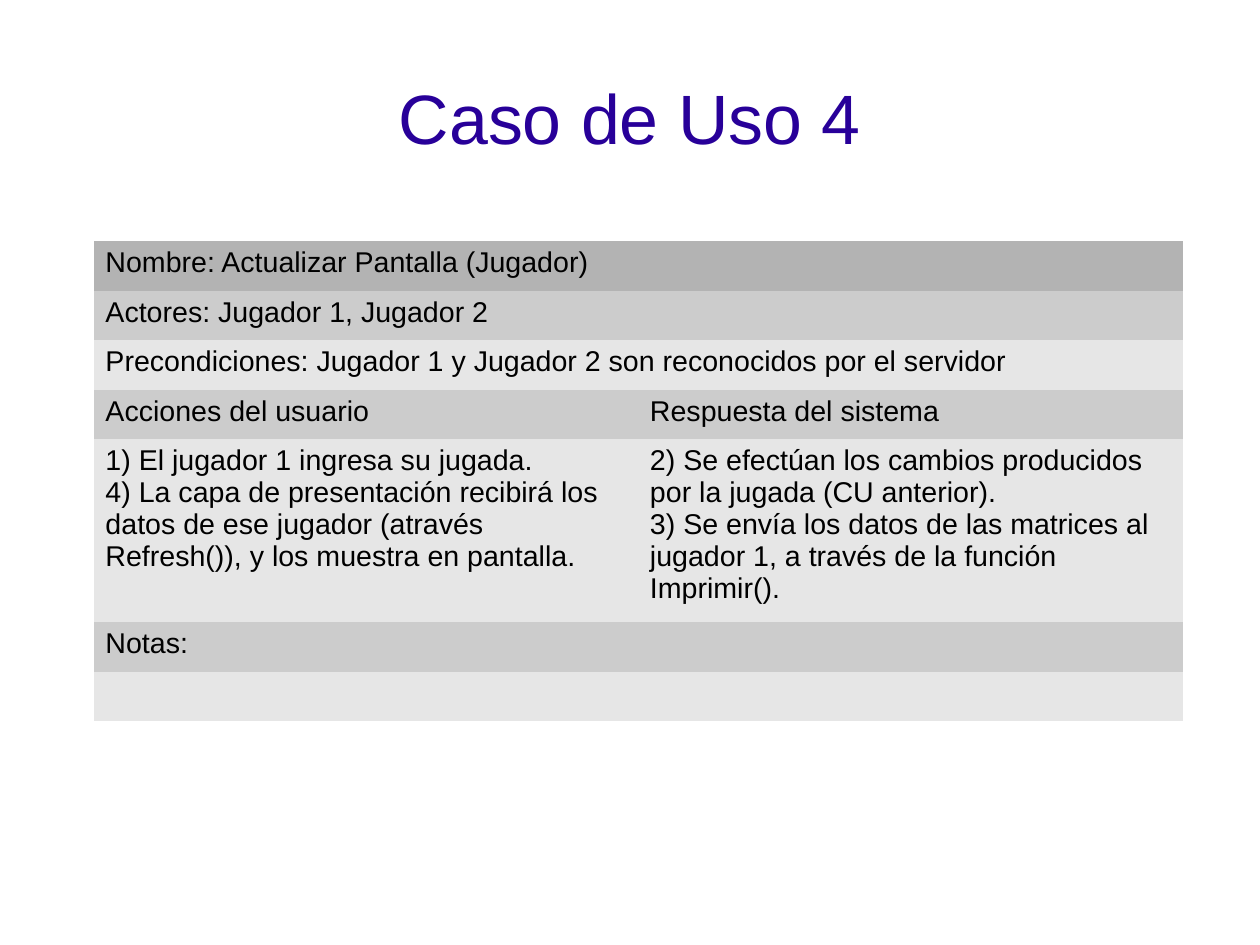
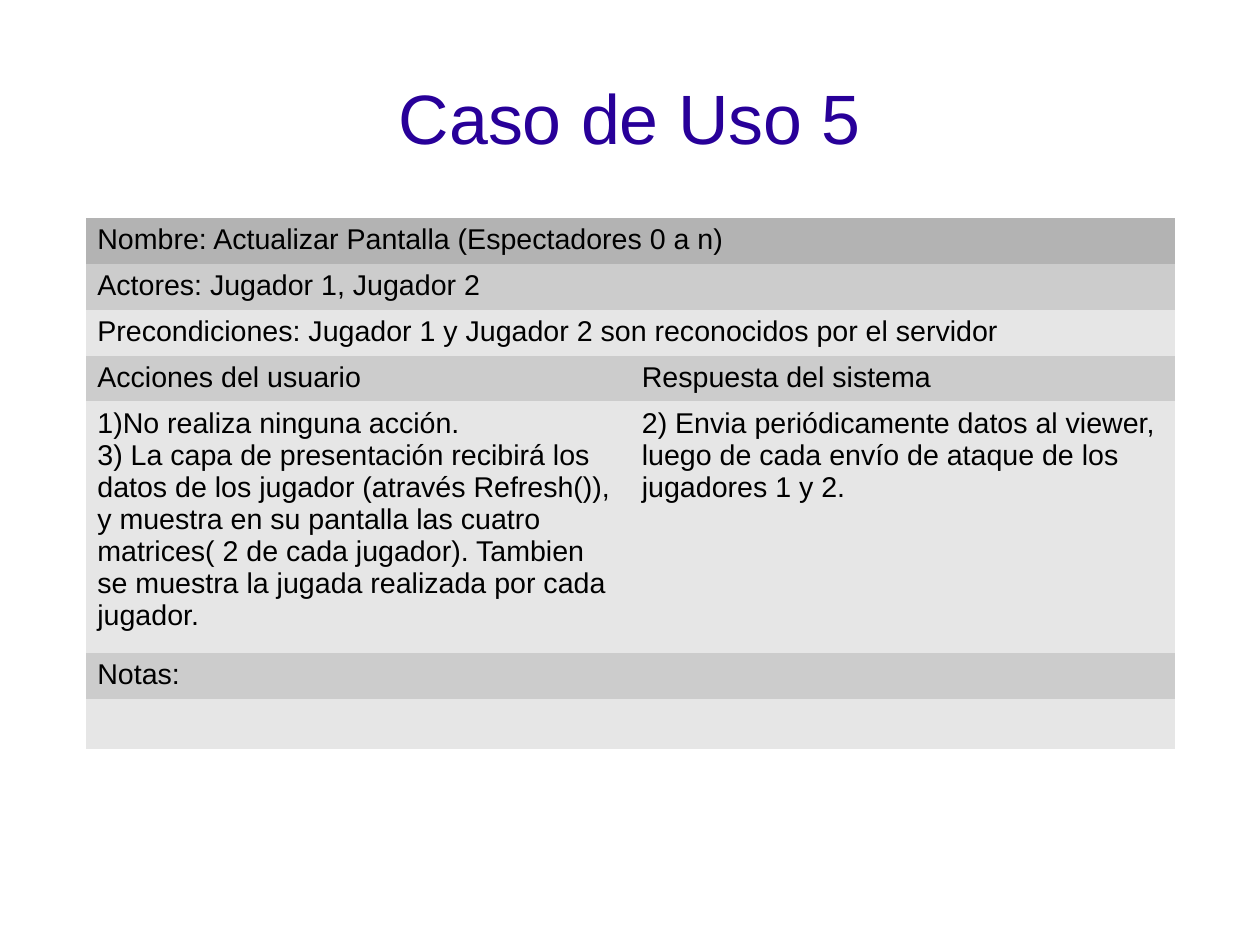
import pptx
import pptx.dml.color
import pptx.enum.text
import pptx.oxml.ns
import pptx.util
from dataclasses import dataclass

Cm = pptx.util.Cm
NO_GRID_STYLE = "{2D5ABB26-0587-4C30-8999-92F81FD0307C}"


@dataclass(frozen=True)
class Theme:
    font: str = "Arial"
    title_size: int = 44
    body_size: int = 18
    title: str = "280099"
    text: str = "000000"
    header: str = "B3B3B3"
    band_dark: str = "CCCCCC"
    band_light: str = "E6E6E6"


class Deck:
    def __init__(self, theme):
        self.theme = theme
        self.prs = pptx.Presentation()
        self.prs.slide_width, self.prs.slide_height = Cm(28), Cm(21)
        self.s = None

    def add_slide(self):
        self.s = self.prs.slides.add_slide(self.prs.slide_layouts[6])

    def format_runs(self, tf, size, color):
        for p in tf.paragraphs:
            for r in p.runs:
                r.font.name = self.theme.font
                r.font.size = pptx.util.Pt(size)
                r.font.color.rgb = pptx.dml.color.RGBColor.from_string(color)

    def title(self, text):
        sp = self.s.shapes.add_textbox(Cm(1.4), Cm(0.84), Cm(25.2), Cm(3.5))
        tf = sp.text_frame
        tf.word_wrap = True
        tf.margin_left = tf.margin_right = tf.margin_top = tf.margin_bottom = 0
        tf.vertical_anchor = pptx.enum.text.MSO_ANCHOR.MIDDLE
        tf.text = text
        tf.paragraphs[0].alignment = pptx.enum.text.PP_ALIGN.CENTER
        self.format_runs(tf, self.theme.title_size, self.theme.title)

    def table(self, left, top, rows, heights):
        """Rows with a single text span both columns; bands alternate."""
        frame = self.s.shapes.add_table(
            len(rows), 2, Cm(left), Cm(top), Cm(24.2), Cm(sum(heights)))
        style_tag = pptx.oxml.ns.qn("a:tableStyleId")
        next(frame._element.iter(style_tag)).text = NO_GRID_STYLE
        table = frame.table
        table.first_row = table.horz_banding = False

        for i, (texts, height) in enumerate(zip(rows, heights)):
            table.rows[i].height = Cm(height)
            if i == 0:
                fill = self.theme.header
            else:
                fill = self.theme.band_dark if i % 2 else self.theme.band_light
            if len(texts) == 1:
                table.cell(i, 0).merge(table.cell(i, 1))
            for j in range(2):
                cell = table.cell(i, j)
                cell.fill.solid()
                cell.fill.fore_color.rgb = pptx.dml.color.RGBColor.from_string(fill)
            for j, text in enumerate(texts):
                tf = table.cell(i, j).text_frame
                tf.text = text
                self.format_runs(tf, self.theme.body_size, self.theme.text)

    def use_case(self, number, name, actions, responses, left, top, heights):
        self.add_slide()
        self.title(f"Caso de Uso {number}")
        rows = [
            [f"Nombre: {name}"],
            ["Actores: Jugador 1, Jugador 2"],
            ["Precondiciones: Jugador 1 y Jugador 2 son reconocidos por el servidor"],
            ["Acciones del usuario", "Respuesta del sistema"],
            ["\n".join(actions), "\n".join(responses)],
            ["Notas:"],
            [""],
        ]
        self.table(left, top, rows, heights)


def main():
    deck = Deck(Theme())

    # Player screen
    deck.use_case(
        4, "Actualizar Pantalla (Jugador)",
        ["1) El jugador 1 ingresa su jugada.",
         "4) La capa de presentación recibirá los datos de ese jugador "
         "(através Refresh()), y los muestra en pantalla."],
        ["2) Se efectúan los cambios producidos por la jugada (CU anterior).",
         "3) Se envía los datos de las matrices al jugador 1, a través de "
         "la función Imprimir()."],
        left=2.09, top=5.36, heights=[1.1] * 4 + [4.06] + [1.1] * 2)

    # Spectator screen
    deck.use_case(
        5, "Actualizar Pantalla (Espectadores 0 a n)",
        ["1)No realiza ninguna acción.",
         "3) La capa de presentación recibirá los datos de los jugador "
         "(através Refresh()), y muestra en su pantalla las cuatro matrices"
         "( 2 de cada jugador). Tambien se muestra la jugada realizada por "
         "cada jugador."],
        ["2) Envia periódicamente datos al viewer, luego de cada envío de "
         "ataque de los jugadores 1 y 2."],
        left=1.91, top=4.84, heights=[1.02] * 4 + [5.6, 1.02, 1.1])

    deck.prs.save("out.pptx")


if __name__ == "__main__":
    main()
